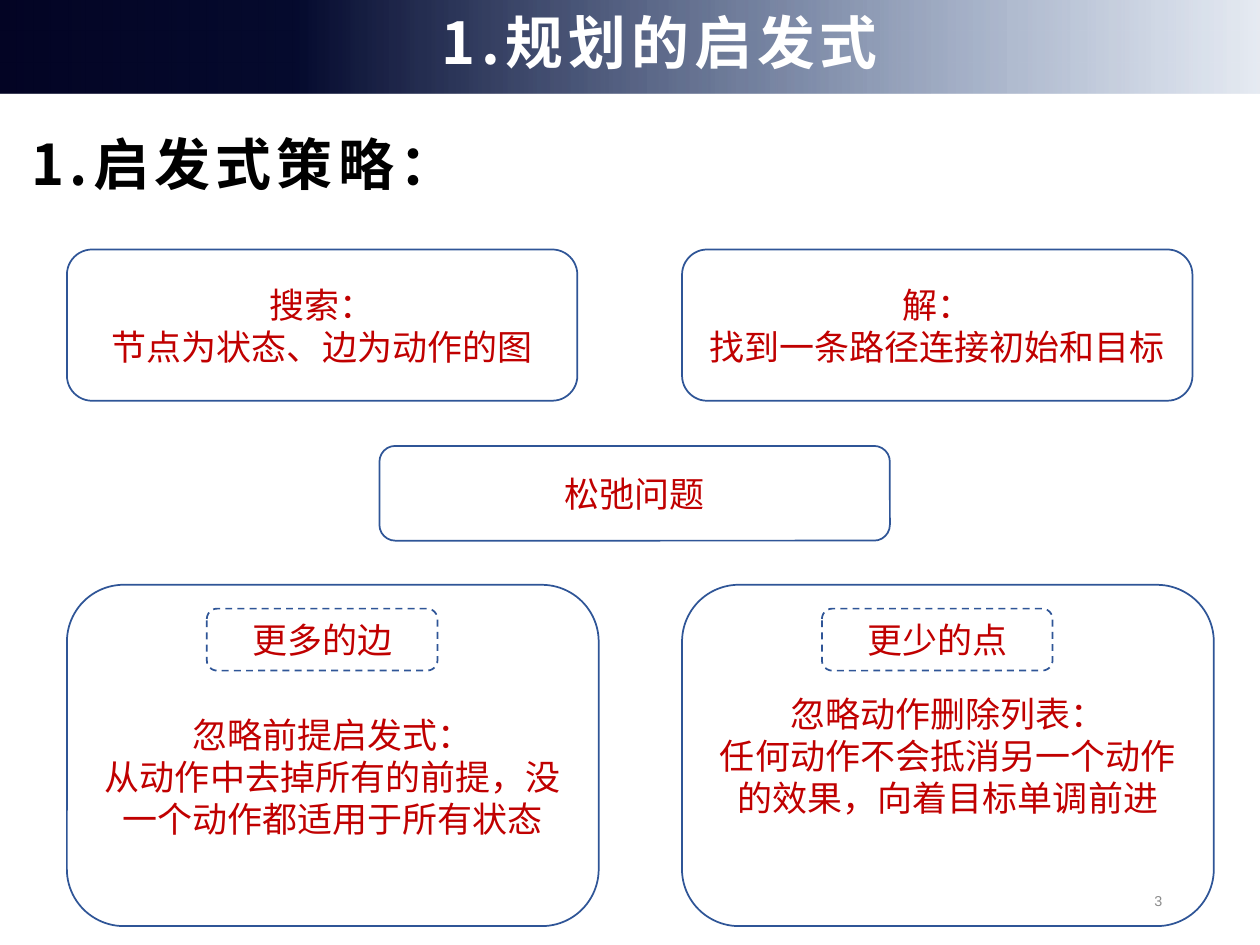
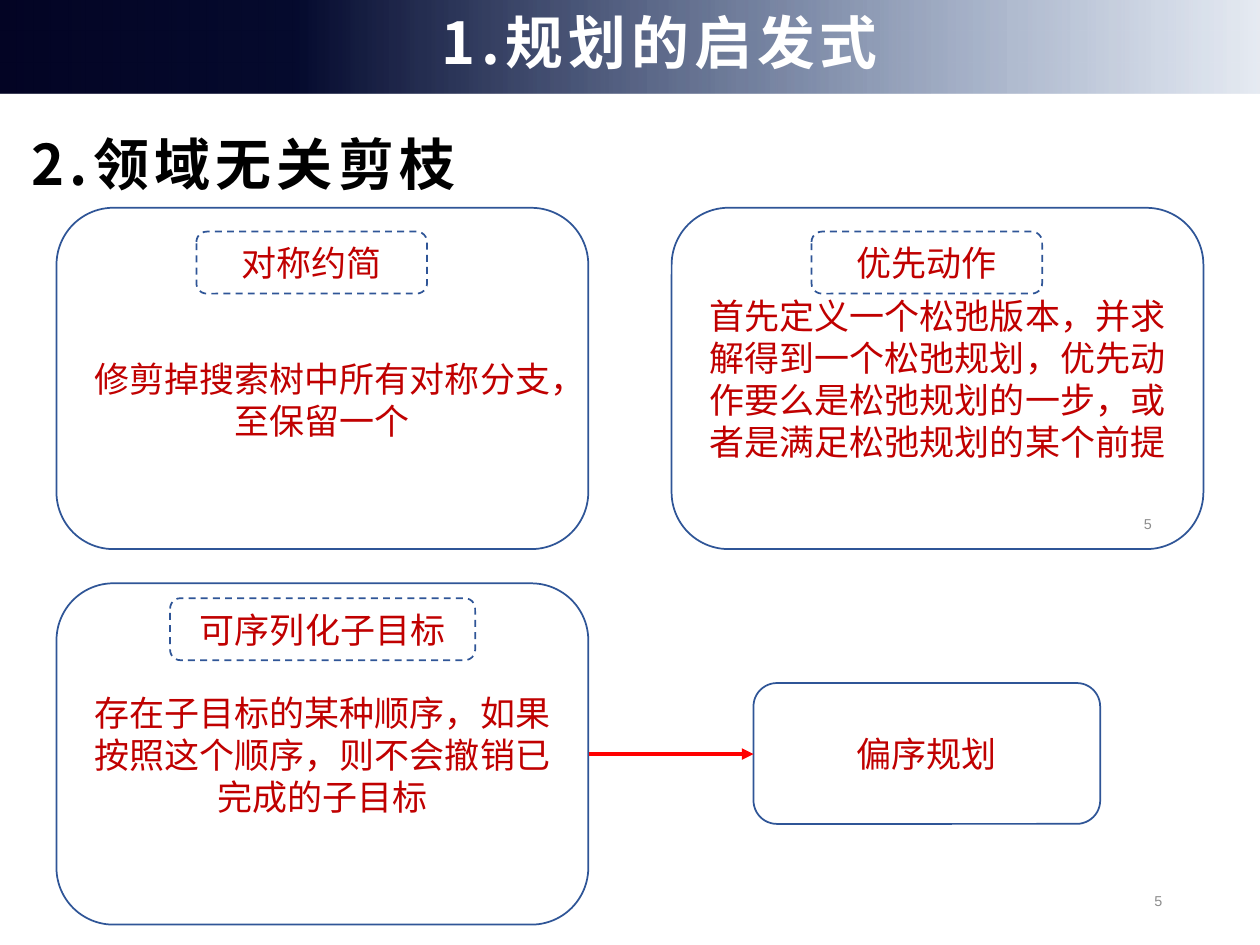
from lxml import etree
from pptx import Presentation
from pptx import util as u
from pptx.dml.color import RGBColor
from pptx.enum import dml, shapes, text
from pptx.oxml import parse_xml
from pptx.oxml.ns import nsdecls, qn

TITLE = "1.规划的启发式"
BAND = [(0, "030424", 100), (23, "050A2D", 100), (100, "164086", 10)]
LINE, RED, INK, GREY, WHITE = "2F5597", "C00000", "000000", "8C8C8C", "FFFFFF"
HEAD = "Noto Sans CJK SC"
PITCH = 12.4
CARD = (10.72, 6.88)
TAG = (2.82, 0.48, 4.65)
WIDE = (2.29, 0.3, 6.15)
TALL = 1.25
GAP = 0.85
NUM = (17.96, 17.65)

DECK = [
    {
        "head": "1.启发式策略：",
        "left": 1.35,
        "nums": [("3", NUM)],
        "cards": [
            (0, 11.79, "更多的边", TAG, GAP,
             ["忽略前提启发式：", "从动作中去掉所有的前提，没一个动作都适用于所有状态"]),
            (1, 11.79, "更少的点", TAG, 0,
             ["忽略动作删除列表：", "任何动作不会抵消另一个动作的效果，向着目标单调前进"]),
        ],
        "boxes": [
            ((1.35, 5.03, 10.29, 3.05), ["搜索：", "节点为状态、边为动作的图"]),
            ((13.75, 5.03, 10.29, 3.05), ["解：", "找到一条路径连接初始和目标"]),
            ((7.65, 8.99, 10.29, 1.91), ["松弛问题"]),
        ],
        "links": [],
    },
    {
        "head": "2.领域无关剪枝",
        "left": 1.14,
        "nums": [("5", NUM), ("5", (17.75, 10.06))],
        "cards": [
            (0, 4.19, "对称约简", TAG, GAP, ["修剪掉搜索树中所有对称分支，至保留一个"]),
            (1, 4.19, "优先动作", TAG, 0,
             ["首先定义一个松弛版本，并求解得到一个松弛规划，优先动作要么是松弛规划的一步，或者是满足松弛规划的某个前提"]),
            (0, 11.76, "可序列化子目标", WIDE, 0,
             ["存在子目标的某种顺序，如果按照这个顺序，则不会撤销已完成的子目标"]),
        ],
        "boxes": [((15.19, 13.77, 6.99, 2.84), ["偏序规划"])],
        "links": [(11.88, 15.2, 15.19, 15.2)],
    },
]


def tint(code):
    return RGBColor.from_string(code)


def cms(vals):
    return [u.Cm(v) for v in vals]


def write(shape, lines, size, color, font="Arial", bold=False, track=0,
          para=None, **frame):
    body = shape.text_frame
    look = {"word_wrap": True, "vertical_anchor": text.MSO_ANCHOR.MIDDLE, **frame}
    for key, val in look.items():
        setattr(body, key, val)
    for i, line in enumerate(lines):
        par = body.paragraphs[0] if i == 0 else body.add_paragraph()
        for key, val in {"alignment": text.PP_ALIGN.CENTER, **(para or {})}.items():
            setattr(par, key, val)
        run = par.add_run()
        run.text = line
        for key, val in {"size": u.Pt(size), "name": font, "bold": bold}.items():
            setattr(run.font, key, val)
        run.font.color.rgb = tint(color)
        if track:
            props = run._r.get_or_add_rPr()
            props.set("spc", str(track * 100))
            etree.SubElement(props, qn("a:ea")).set("typeface", font)


def frame(slide, at, lines, dash=False, drop=0):
    box = slide.shapes.add_shape(shapes.MSO_SHAPE.ROUNDED_RECTANGLE, *cms(at))
    box.shadow.inherit = False
    box.fill.background()
    box.line.color.rgb = tint(LINE)
    box.line.width = u.Pt(1)
    if dash:
        box.line.dash_style = dml.MSO_LINE.DASH
    write(box, lines, 20, RED, margin_top=u.Cm(0.13 + drop))


def card(slide, left, spec):
    col, top, name, (dx, dy, wide), drop, lines = spec
    x = left + col * PITCH
    frame(slide, (x, top, *CARD), lines, drop=drop)
    frame(slide, (x + dx, top + dy, wide, TALL), [name], dash=True)


def link(slide, ends):
    arm = slide.shapes.add_connector(shapes.MSO_CONNECTOR.STRAIGHT, *cms(ends))
    arm.line.color.rgb = tint("FF0000")
    arm.line.width = u.Pt(2.25)
    etree.SubElement(arm.line._get_or_add_ln(), qn("a:tailEnd")).set("type", "triangle")
    etree.SubElement(arm._element.spPr, qn("a:effectLst"))


def band(slide, deck):
    bar = slide.shapes.add_shape(
        shapes.MSO_SHAPE.RECTANGLE, 0, 0, deck.slide_width, u.Cm(1.88))
    bar.shadow.inherit = False
    bar.line.fill.background()
    stops = "".join(
        f'<a:gs pos="{pos * 1000}"><a:srgbClr val="{code}">'
        f'<a:alpha val="{alpha * 1000}"/></a:srgbClr></a:gs>'
        for pos, code, alpha in BAND)
    grad = parse_xml(f'<a:gradFill {nsdecls("a")} rotWithShape="1"><a:gsLst>{stops}'
                     '</a:gsLst><a:lin ang="0" scaled="0"/></a:gradFill>')
    bar._element.spPr.find(qn("a:prstGeom")).addnext(grad)
    slide.slide_layout.shapes._spTree.insert(2, bar._element)


def place(shape, at):
    for key, val in zip(("left", "top", "width", "height"), cms(at)):
        setattr(shape, key, val)


def build(slide, page):
    title = slide.shapes.title
    place(title, (2.36, 0.13, 21.89, 1.57))
    write(title, [TITLE], 33, WHITE, HEAD, True, 3, {"line_spacing": 0.9},
          auto_size=text.MSO_AUTO_SIZE.NONE)
    for num, spot in page["nums"]:
        foot = slide.shapes.add_textbox(*cms((*spot, 5.72, 1.01)))
        write(foot, [num], 8.2, GREY, para={"alignment": text.PP_ALIGN.RIGHT})
    head = slide.shapes.add_textbox(*cms((0.38, 2.21, 24.66, 15.19)))
    write(head, [page["head"]], 32, INK, HEAD, True, 3,
          {"alignment": text.PP_ALIGN.LEFT, "line_spacing": 1.2},
          vertical_anchor=text.MSO_ANCHOR.TOP)
    for at, lines in page["boxes"]:
        frame(slide, at, lines)
    for spec in page["cards"]:
        card(slide, page["left"], spec)
    for ends in page["links"]:
        link(slide, ends)


def main():
    deck = Presentation()
    deck.slide_width, deck.slide_height = cms((25.4, 19.05))
    plan = deck.slide_layouts[5]
    for i, page in enumerate(DECK):
        slide = deck.slides.add_slide(plan)
        if i == 0:
            band(slide, deck)
        build(slide, page)
    deck.save("out.pptx")


if __name__ == "__main__":
    main()
